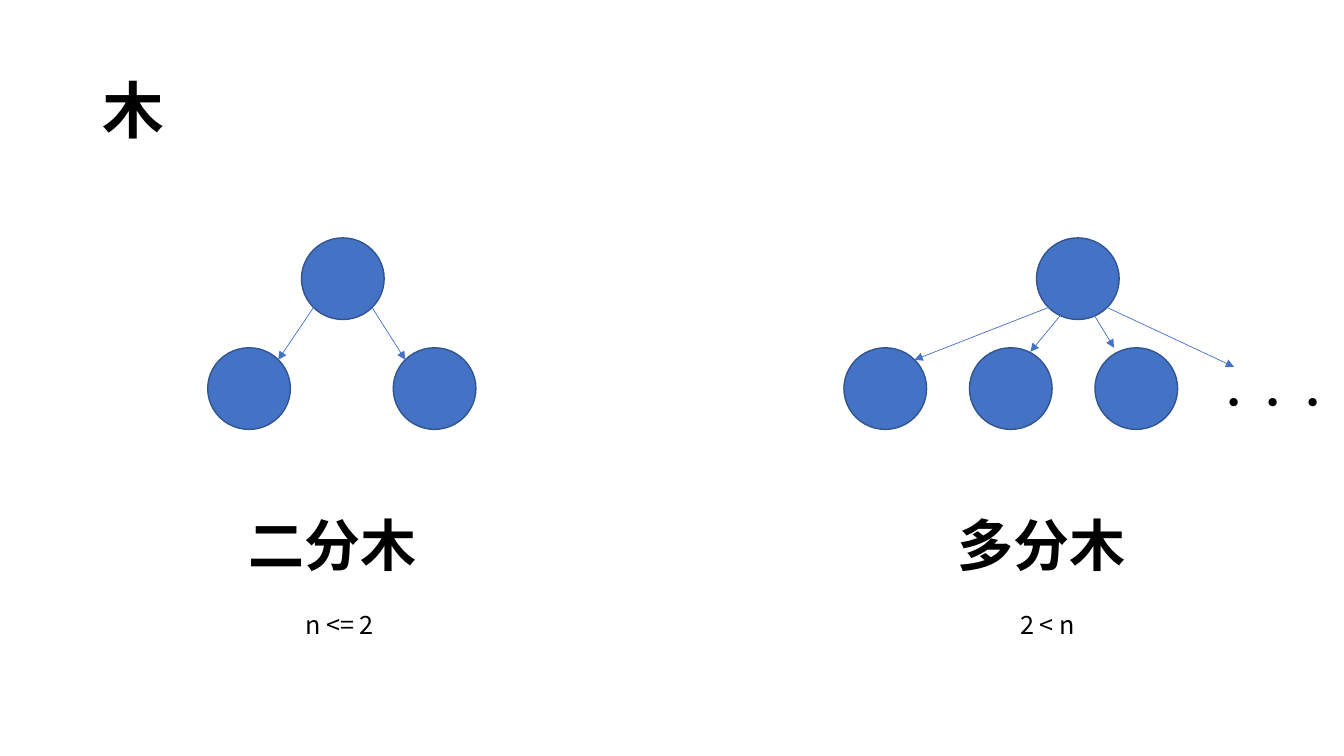
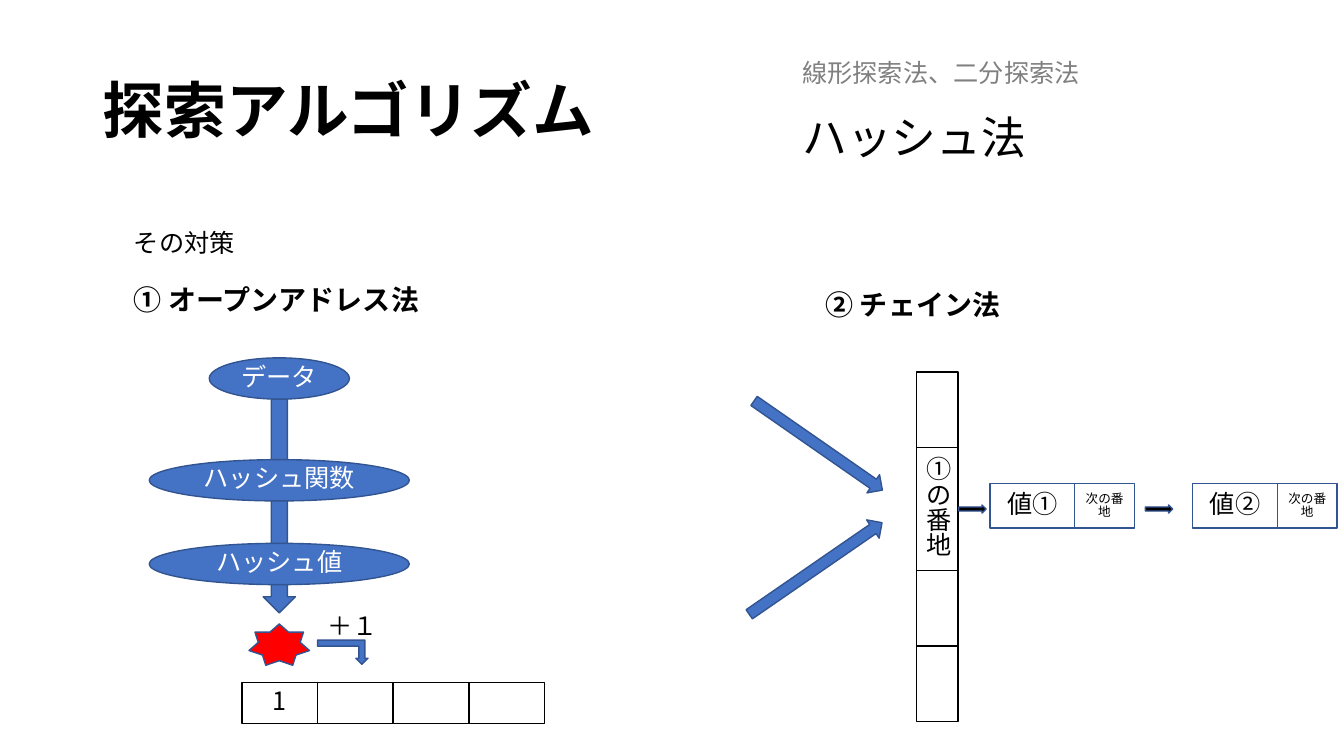
from dataclasses import dataclass
from lxml.etree import SubElement as Sub
from pptx import Presentation
from pptx.dml.color import RGBColor as Rgb
from pptx.enum.shapes import MSO_CONNECTOR as Link, MSO_SHAPE as Kind
from pptx.enum.text import MSO_ANCHOR as Anchor, MSO_AUTO_SIZE as Fit, PP_ALIGN as Align
from pptx.oxml.ns import qn
from pptx.util import Inches, Pt


@dataclass(frozen=True)
class Theme:
    font: str = "Noto Sans CJK JP"
    blue: str = "4472C4"
    edge: str = "325491"
    red: str = "FF0000"
    gray: str = "808080"
    black: str = "000000"
    white: str = "FFFFFF"
    title: int = 44
    label: int = 40
    large: int = 32
    dots: int = 28
    head: int = 20
    body: int = 18
    tiny: int = 9
    lead: float = 0.83
    tight: float = 0.75


T = Theme()


def put(obj, **fmt):
    for key, val in fmt.items():
        setattr(obj, key, val)


def write(par, text, size, color=T.black, bold=False, **fmt):
    put(par, **{"line_spacing": T.lead, **fmt})
    run = par.add_run()
    run.text = text
    put(run.font, name=T.font, size=Pt(size), bold=bold)
    run.font.color.rgb = Rgb.from_string(color)
    Sub(run.font._element, qn("a:ea"), typeface=T.font)


def note(host, box, *lines):
    frame = host.add_textbox(*map(Inches, box)).text_frame
    put(frame, word_wrap=True, auto_size=Fit.NONE)
    for num, (text, fmt) in enumerate(lines):
        par = frame.add_paragraph() if num else frame.paragraphs[0]
        write(par, text, **fmt)


def draw(host, kind, box, fill=T.blue, line=T.edge, text="", size=T.body,
         color=T.white, turn=0):
    shape = host.add_shape(kind, *map(Inches, box))
    put(shape, rotation=turn)
    shape.shadow.inherit = False
    shape.fill.solid()
    shape.fill.fore_color.rgb = Rgb.from_string(fill)
    shape.line.color.rgb = Rgb.from_string(line)
    shape.line.width = Pt(1)
    if text:
        put(shape.text_frame, word_wrap=True, vertical_anchor=Anchor.MIDDLE)
        write(shape.text_frame.paragraphs[0], text, size, color, alignment=Align.CENTER)
    return shape


def cell(host, box, text="", line=T.black, size=T.body):
    draw(host, Kind.RECTANGLE, box, T.white, line, text, size, T.black)


def arrow(host, start, end):
    line = host.add_connector(Link.STRAIGHT, *map(Inches, (*start, *end)))
    line.line.color.rgb = Rgb.from_string(T.blue)
    line.line.width = Pt(0.5)
    Sub(line.line._get_or_add_ln(), qn("a:tailEnd"), type="triangle")
    Sub(line._element.spPr, qn("a:effectLst"))


def page(deck, text, width):
    slide = deck.slides.add_slide(deck.slide_layouts[5])
    title = slide.shapes.title
    put(title, left=Inches(0.92), top=Inches(0.43), width=Inches(width), height=Inches(1.45))
    put(title.text_frame, word_wrap=True, auto_size=Fit.NONE, vertical_anchor=Anchor.MIDDLE)
    write(title.text_frame.paragraphs[0], text, T.title, bold=True,
          alignment=Align.LEFT, line_spacing=T.tight)
    return slide.shapes


def tree(host, left, top, root, pitch, count, edges):
    wide, high, drop = 0.82, 0.81, 1.09
    spots = [(root, 0)] + [(num * pitch, drop) for num in range(count)]
    for dx, dy in spots:
        draw(host, Kind.OVAL, (left + dx, top + dy, wide, high))
    for x, y, to, down in edges:
        arrow(host, (left + root + x, top + y), (left + to, top + down))


def name(host, left, top, text, rule, shift):
    note(host, (left, top, 3.1, 0.77), (text, dict(size=T.label, bold=True)))
    note(host, (left + shift, top + 0.92, 1.53, 0.4), (rule, dict(size=T.body)))


def trees(deck):
    host = page(deck, "木", 3.13)
    tree(host, 2.06, 2.36, 0.93, 1.84, 2,
         [(0.12, 0.69, 0.7, 1.21), (0.7, 0.69, 1.96, 1.21)])
    tree(host, 8.37, 2.36, 1.91, 1.245, 3,
         [(0.12, 0.69, 0.7, 1.21), (0.27, 0.73, 1.85, 1.13),
          (0.55, 0.73, 2.68, 1.09), (0.7, 0.69, 3.87, 1.28)])
    note(host, (11.95, 3.78, 1.42, 0.57), ("・・・", dict(size=T.dots)))
    name(host, 2.37, 5.13, "二分木", "n <= 2", 0.56)
    name(host, 9.4, 5.13, "多分木", "2 < n", 0.62)


def heads(host):
    gap = Pt(22)
    note(host, (7.86, 0.57, 5.1, 1.25),
         ("線形探索法、二分探索法", dict(size=T.body, color=T.gray)),
         ("ハッシュ法", dict(size=T.large, space_before=gap)))
    note(host, (1.23, 2.26, 6, 1.04), ("その対策", dict(size=T.body)),
         ("① オープンアドレス法", dict(size=T.head, bold=True, space_before=gap)))
    note(host, (8.09, 2.86, 3.4, 0.44), ("② チェイン法", dict(size=T.head, bold=True)))


def probe(host, left, top):
    mid = left + 1.29
    draw(host, Kind.DOWN_ARROW, (mid - 0.16, top + 0.31, 0.32, 2.22))
    for text, dy, wide in (("データ", 0, 1.39), ("ハッシュ関数", 1.01, 2.58),
                           ("ハッシュ値", 1.84, 2.58)):
        draw(host, Kind.OVAL, (mid - wide / 2, top + dy, wide, 0.41), text=text)
    draw(host, Kind.STAR_7_POINT, (mid - 0.3, top + 2.64, 0.6, 0.41), fill=T.red)
    bend = draw(host, Kind.BENT_UP_ARROW, (left + 1.67, top + 2.8, 0.5, 0.24), turn=180)
    bend._element.spPr.xfrm.set("flipH", "1")
    note(host, (left + 1.67, top + 2.51, 2.25, 0.41), ("＋１", dict(size=T.body)))
    row = host.add_group_shape().shapes
    for num, text in enumerate(("1", "", "", "")):
        cell(row, (left + 0.92 + num * 0.75, top + 3.22, 0.75, 0.41), text)


def chain(host, left, top):
    col = host.add_group_shape().shapes
    down = top
    for high, text in ((0.75, ""), (1.22, "①の番地"), (0.75, ""), (0.75, "")):
        cell(col, (left, down, 0.41, high), text)
        down += high
    for dx, dy, wide, turn in ((-1.75, 0.62, 1.55, 34.8), (-1.8, 1.84, 1.6, 325.4)):
        draw(host, Kind.RIGHT_ARROW, (left + dx, top + dy, wide, 0.22), turn=turn)
    for text, dx, tip in (("値①", 0.73, 0.42), ("値②", 2.74, 2.27)):
        pair = host.add_group_shape().shapes
        cell(pair, (left + dx, top + 1.11, 0.84, 0.44), text, T.edge)
        cell(pair, (left + dx + 0.84, top + 1.11, 0.59, 0.44), "次の番地", T.edge, T.tiny)
        draw(host, Kind.RIGHT_ARROW, (left + tip, top + 1.32, 0.27, 0.08), fill=T.black)


def search(deck):
    host = page(deck, "探索アルゴリズム", 5.24)
    heads(host)
    probe(host, 1.48, 3.55)
    chain(host, 9.09, 3.69)


def main():
    deck = Presentation()
    put(deck, slide_width=Inches(13.33), slide_height=Inches(7.5))
    trees(deck)
    search(deck)
    deck.save("out.pptx")


if __name__ == "__main__":
    main()
